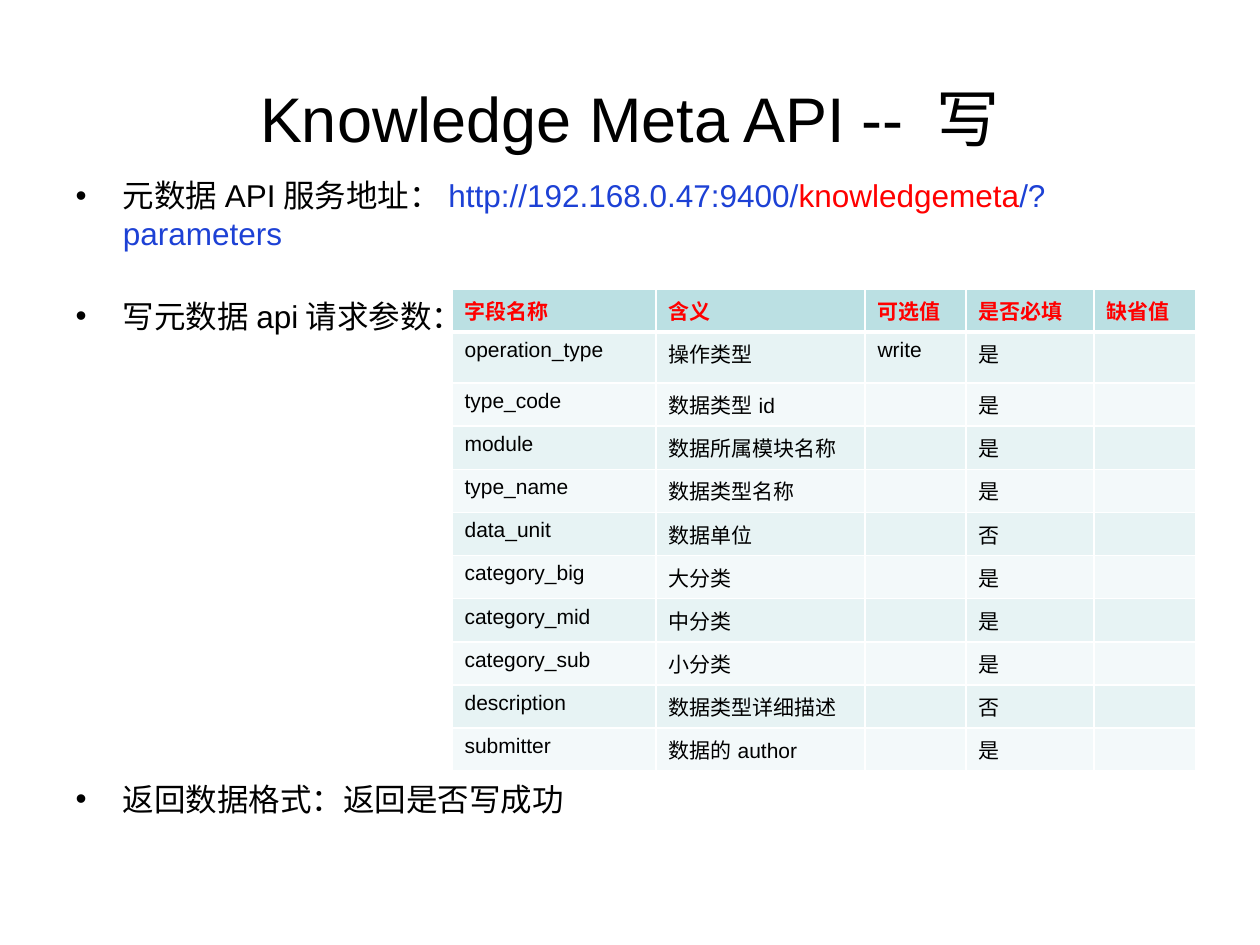
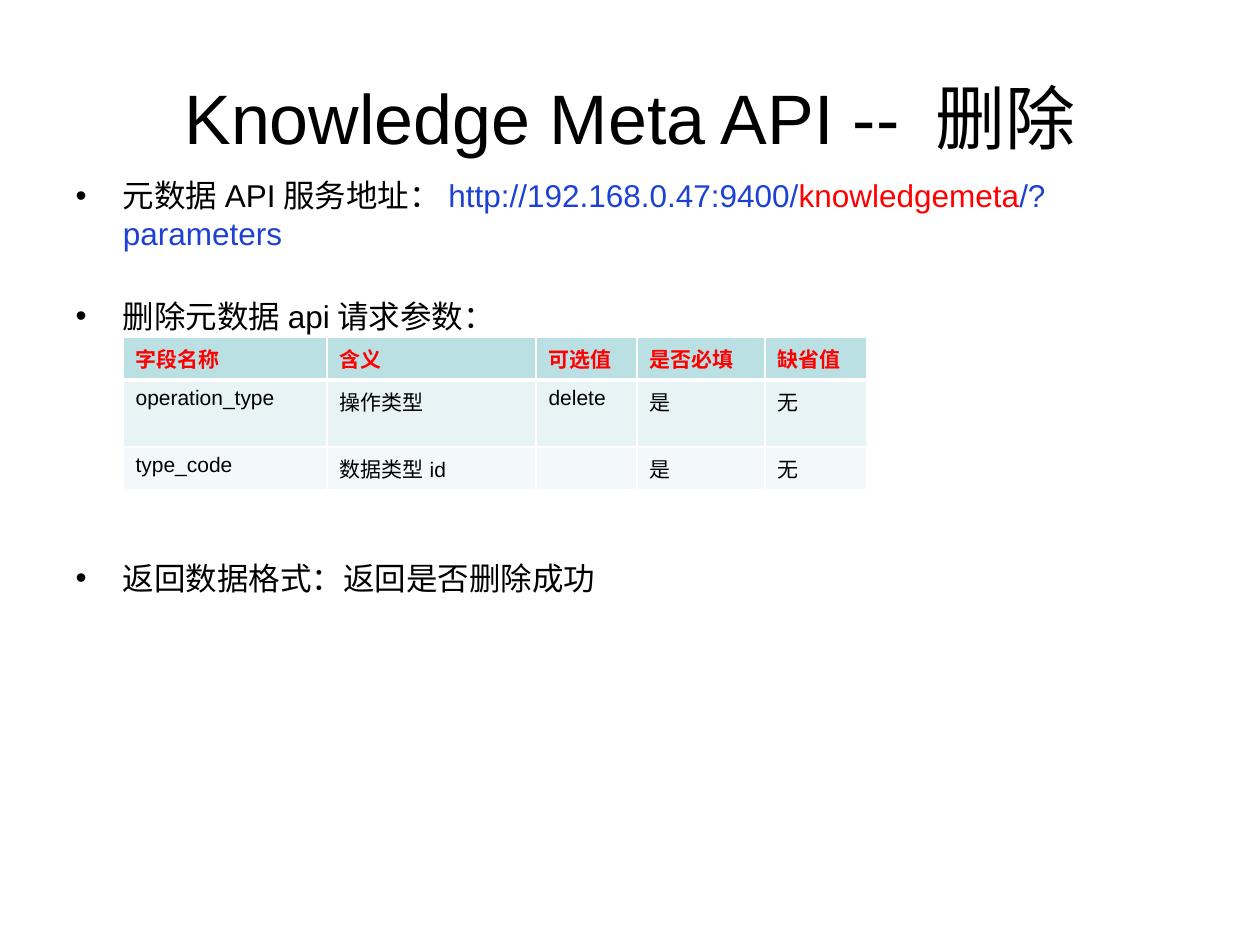
from lxml.etree import SubElement
from pptx import Presentation
from pptx.dml.color import RGBColor
from pptx.enum.text import MSO_ANCHOR, MSO_AUTO_SIZE, PP_ALIGN
from pptx.oxml.ns import qn
from pptx.util import Emu, Pt

DPI = 126
FONT = "Arial"
BLACK, WHITE, RED, BLUE = "000000", "FFFFFF", "FF0000", "1D41D5"
HEAD, BANDS = "BBE0E3", ("E7F3F4", "F3F9FA")

TITLE_BOX = (63, 38, 1134, 158)
BODY_BOX = (63, 170, 1134, 760)
COLS = (204, 209, 101, 128, 102)
HEAD_H, ROW_H = 42, 43
FIELDS = ("字段名称", "含义", "可选值", "是否必填", "缺省值")

ADDRESS = [
    ("元数据API服务地址：", BLACK),
    ("http://192.168.0.47:9400/", BLUE),
    ("knowledgemeta", RED),
    ("/?parameters", BLUE),
]
WRITE_ROWS = [
    ("operation_type", "操作类型", "write", "是", ""),
    ("type_code", "数据类型id", "", "是", ""),
    ("module", "数据所属模块名称", "", "是", ""),
    ("type_name", "数据类型名称", "", "是", ""),
    ("data_unit", "数据单位", "", "否", ""),
    ("category_big", "大分类", "", "是", ""),
    ("category_mid", "中分类", "", "是", ""),
    ("category_sub", "小分类", "", "是", ""),
    ("description", "数据类型详细描述", "", "否", ""),
    ("submitter", "数据的author", "", "是", ""),
]
DELETE_ROWS = [
    ("operation_type", "操作类型", "delete", "是", "无"),
    ("type_code", "数据类型id", "", "是", "无"),
]


def px(n):
    return Emu(round(n * 914400 / DPI))


def rgb(color):
    return RGBColor.from_string(color)


def place(shape, box):
    shape.left, shape.top, shape.width, shape.height = map(px, box)


def add_run(para, text, size, color, bold=False):
    run = para.add_run()
    run.text = text
    font = run.font
    font.name, font.size, font.bold = FONT, Pt(size), bold
    font.color.rgb = rgb(color)


def set_title(slide, text, size):
    title = slide.shapes.title
    place(title, TITLE_BOX)
    frame = title.text_frame
    frame.auto_size = MSO_AUTO_SIZE.NONE
    frame.vertical_anchor = MSO_ANCHOR.MIDDLE
    para = frame.paragraphs[0]
    para.alignment = PP_ALIGN.CENTER
    add_run(para, text, size, BLACK)


def set_list(slide, items):
    """Fill the body with (gap above, runs) items."""
    body = slide.placeholders[1]
    place(body, BODY_BOX)
    frame = body.text_frame
    frame.auto_size = MSO_AUTO_SIZE.NONE
    for i, (gap, runs) in enumerate(items):
        para = frame.add_paragraph() if i else frame.paragraphs[0]
        para.space_before = px(gap)
        for text, color in runs:
            add_run(para, text, 18, color)


def set_edge(cell, side, width):
    line = SubElement(cell._tc.get_or_add_tcPr(), qn(f"a:ln{side}"), w=str(Pt(width)))
    fill = SubElement(line, qn("a:solidFill"))
    SubElement(fill, qn("a:srgbClr"), val=WHITE)


def fill_cell(cell, text, row):
    head = row == 0
    widths = {"L": 1, "R": 1, "T": 3 if row == 1 else 1, "B": 3 if head else 1}
    for side, width in widths.items():
        set_edge(cell, side, width)
    cell.fill.solid()
    cell.fill.fore_color.rgb = rgb(HEAD if head else BANDS[(row - 1) % 2])
    para = cell.text_frame.paragraphs[0]
    if text:
        add_run(para, text, 12, RED if head else BLACK, head)
    else:
        # An empty cell needs its own text size, or its row grows.
        SubElement(para._p, qn("a:endParaRPr"), sz="1200")


def add_grid(slide, left, top, rows, first_h):
    """Draw the field table; first_h is the height of its first data row."""
    heights = [HEAD_H, first_h] + [ROW_H] * (len(rows) - 1)
    box = map(px, (left, top, sum(COLS), sum(heights)))
    grid = slide.shapes.add_table(len(heights), len(COLS), *box).table
    grid.horz_banding = False
    for col, width in zip(grid.columns, COLS):
        col.width = px(width)
    for r, (texts, height) in enumerate(zip([FIELDS, *rows], heights)):
        grid.rows[r].height = px(height)
        for c, text in enumerate(texts):
            fill_cell(grid.cell(r, c), text, r)


def add_page(deck, verb, size, gap):
    """Add a slide for one verb; gap is the room above its last item."""
    slide = deck.slides.add_slide(deck.slide_layouts[1])
    set_title(slide, f"Knowledge Meta API -- {verb}", size)
    set_list(slide, [
        (0, ADDRESS),
        (45, [(f"{verb}元数据api请求参数：", BLACK)]),
        (gap, [(f"返回数据格式：返回是否{verb}成功", BLACK)]),
    ])
    return slide


def main():
    deck = Presentation()
    deck.slide_width, deck.slide_height = px(1260), px(945)
    page = add_page(deck, "写", 36, 445)
    add_grid(page, 452, 289, WRITE_ROWS, 51)
    page = add_page(deck, "删除", 40, 224)
    add_grid(page, 123, 337, DELETE_ROWS, 67)
    deck.save("out.pptx")


if __name__ == "__main__":
    main()
